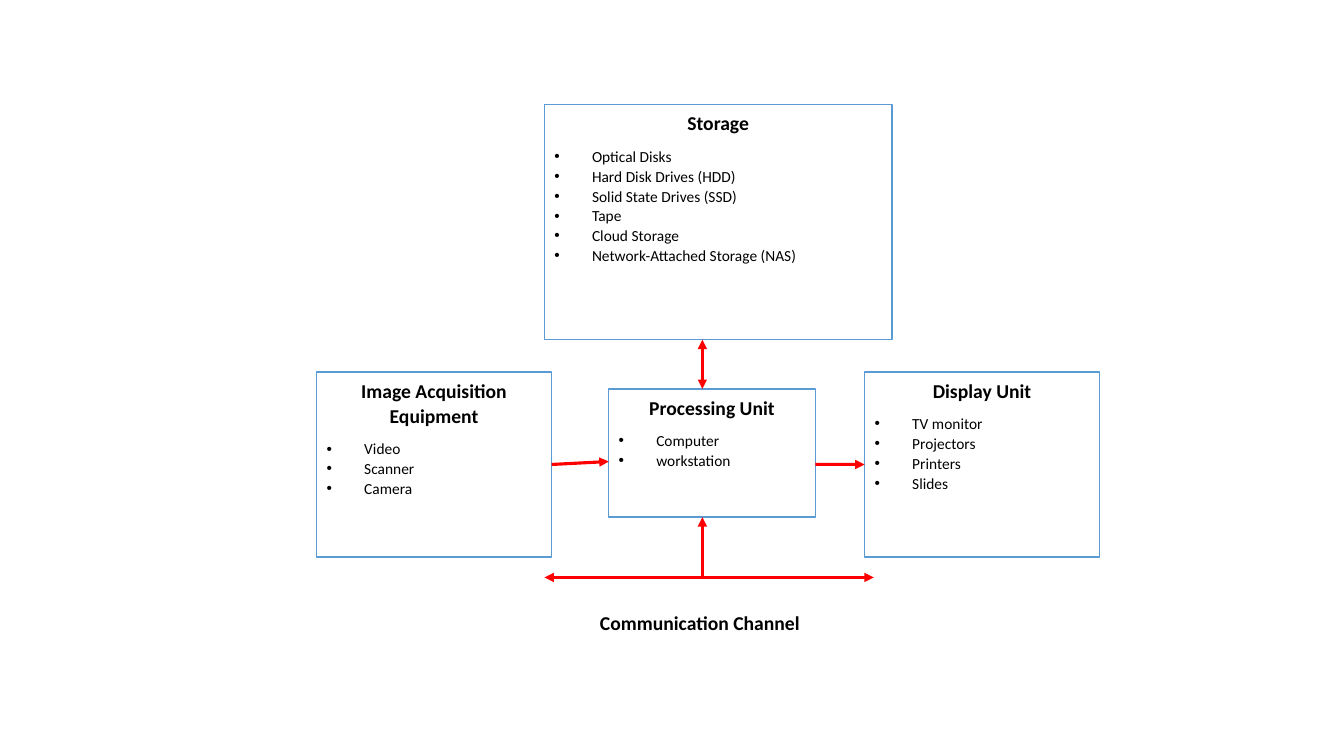
from lxml import etree
from pptx import Presentation
from pptx.dml.color import RGBColor
from pptx.enum.shapes import MSO_CONNECTOR, MSO_SHAPE
from pptx.enum.text import MSO_ANCHOR, PP_ALIGN
from pptx.oxml.ns import qn
from pptx.util import Cm, Pt

RECTANGLE = MSO_SHAPE.RECTANGLE
STRAIGHT = MSO_CONNECTOR.STRAIGHT
TOP = MSO_ANCHOR.TOP
LEFT, CENTER = PP_ALIGN.LEFT, PP_ALIGN.CENTER
SIDE_LEFT, SIDE_RIGHT = 1, 3
COLORS = {"fill": "FFFFFF", "border": "5B9BD5", "arrow": "FF0000", "text": "000000"}


def color(name):
    """Return the named colour."""
    return RGBColor.from_string(COLORS[name])


def write(para, text, size=11, bold=False, align=LEFT, after=0, bullet=False):
    """Fill a paragraph with one formatted span."""
    para.alignment = align
    para.line_spacing = 1.07
    para.space_before = Pt(0)
    para.space_after = Pt(after)
    span = para.add_run()
    span.text = text
    span.font.name = "Calibri"
    span.font.size = Pt(size)
    span.font.bold = bold
    span.font.color.rgb = color("text")
    if bullet:
        properties = para._p.get_or_add_pPr()
        properties.set("marL", str(Cm(0.95)))
        properties.set("indent", str(-Cm(0.95)))
        etree.SubElement(properties, qn("a:buFont"), typeface="Arial")
        etree.SubElement(properties, qn("a:buChar"), char="•")


class Diagram:
    """Draw the elements of a block diagram on one slide."""

    def __init__(self, page):
        """Keep the page and the line widths."""
        self.page = page
        self.border_width = Pt(1)
        self.arrow_width = Pt(2.25)

    def heading(self, frame, text):
        """Write a centred bold heading in a text frame."""
        frame.word_wrap = True
        frame.vertical_anchor = TOP
        write(frame.paragraphs[0], text, size=14, bold=True, align=CENTER, after=8)

    def unit(self, title, items, left, top, width, height):
        """Add a bordered box with a heading and a bulleted list."""
        box = self.page.shapes.add_shape(
            RECTANGLE, Cm(left), Cm(top), Cm(width), Cm(height))
        box.shadow.inherit = False
        box.fill.solid()
        box.fill.fore_color.rgb = color("fill")
        box.line.color.rgb = color("border")
        box.line.width = self.border_width
        self.heading(box.text_frame, title)
        for item in items:
            after = 8 if item == items[-1] else 0
            write(box.text_frame.add_paragraph(), item, after=after, bullet=True)
        return box

    def label(self, text, left, top, width, height):
        """Add a heading without a box."""
        box = self.page.shapes.add_textbox(Cm(left), Cm(top), Cm(width), Cm(height))
        self.heading(box.text_frame, text)

    def arrow(self, start, end, double=False):
        """Add an arrow with a head at its end or at both ends."""
        line = self.page.shapes.add_connector(STRAIGHT, *map(Cm, start + end))
        line.line.color.rgb = color("arrow")
        line.line.width = self.arrow_width
        outline = line.line._get_or_add_ln()
        for tag in ("a:headEnd", "a:tailEnd") if double else ("a:tailEnd",):
            etree.SubElement(outline, qn(tag), type="triangle")
        etree.SubElement(line._element.spPr, qn("a:effectLst"))
        return line


def main():
    """Build the deck with the image processing system."""
    deck = Presentation()
    deck.slide_width, deck.slide_height = Cm(33.87), Cm(19.05)
    diagram = Diagram(deck.slides.add_slide(deck.slide_layouts[6]))

    diagram.unit(
        "Storage",
        ["Optical Disks", "Hard Disk Drives (HDD)", "Solid State Drives (SSD)",
         "Tape", "Cloud Storage", "Network-Attached Storage (NAS)"],
        13.72, 2.64, 8.76, 5.92)
    diagram.unit("Processing Unit", ["Computer", "workstation"],
                 15.34, 9.8, 5.21, 3.23)
    acquisition = diagram.unit(
        "Image Acquisition Equipment", ["Video", "Scanner", "Camera"],
        7.98, 9.37, 5.92, 4.67)
    display = diagram.unit(
        "Display Unit", ["TV monitor", "Projectors", "Printers", "Slides"],
        21.79, 9.37, 5.92, 4.67)
    diagram.label("Communication Channel", 13.26, 15.24, 8.76, 1.02)

    axis, channel = 17.7, 14.55
    diagram.arrow((axis, 8.56), (axis, 9.8), double=True)
    diagram.arrow((axis, channel), (axis, 13.03))
    diagram.arrow((13.72, channel), (22.02, channel), double=True)
    acquired = diagram.arrow((13.9, 11.7), (15.34, 11.63))
    acquired.begin_connect(acquisition, SIDE_RIGHT)
    shown = diagram.arrow((20.55, 11.7), (21.79, 11.7))
    shown.end_connect(display, SIDE_LEFT)

    deck.save("out.pptx")


if __name__ == "__main__":
    main()
